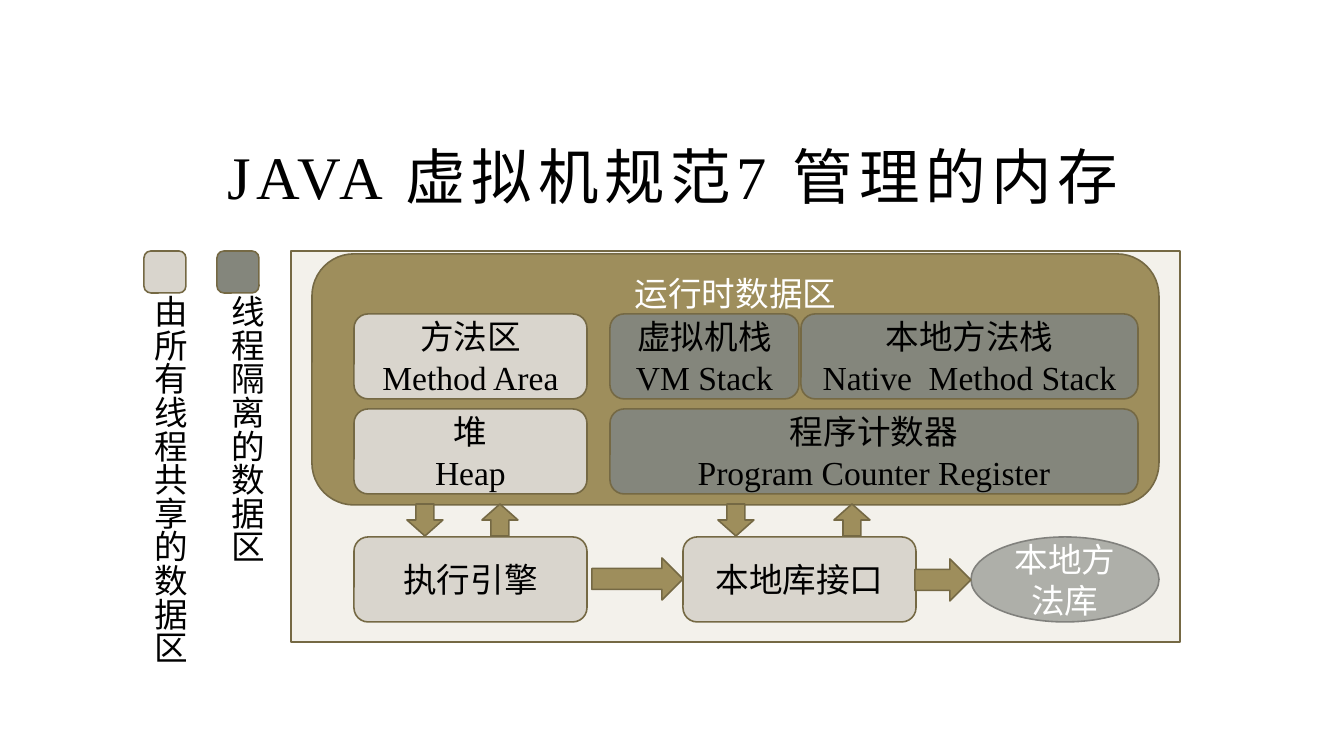
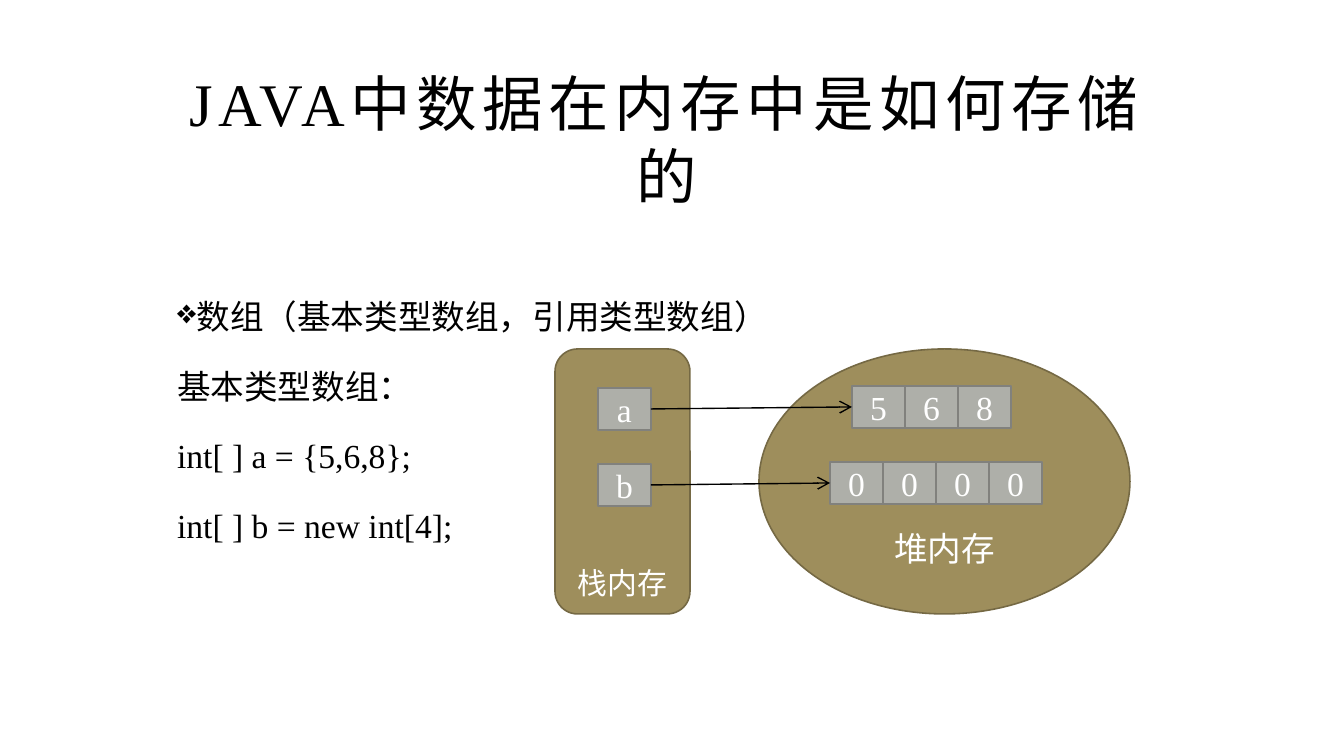
from lxml.etree import SubElement
from pptx import Presentation
from pptx.dml.color import RGBColor
from pptx.enum.shapes import MSO_CONNECTOR, MSO_SHAPE
from pptx.enum.text import MSO_ANCHOR, MSO_AUTO_SIZE, PP_ALIGN
from pptx.oxml.ns import qn
from pptx.util import Emu, Pt

EMU_PER_PX = 914400 / 134.4
SLIDE_SIZE = (1344, 756)
FONT = "Times New Roman"
TEXT_SIZE = 18

BLACK = RGBColor(0x00, 0x00, 0x00)
WHITE = RGBColor(0xFF, 0xFF, 0xFF)
GOLD = RGBColor(0x9E, 0x8E, 0x5C)
GOLD_LINE = RGBColor(0x75, 0x69, 0x44)
SHARED = RGBColor(0xD9, 0xD5, 0xCD)
ISOLATED = RGBColor(0x84, 0x86, 0x7C)
SILVER = RGBColor(0xAE, 0xAF, 0xA9)
SILVER_LINE = RGBColor(0x81, 0x81, 0x7D)

MACHINE_TITLE = ("JAVA 虚拟机规范7 管理的内存", 202, 941)
STORAGE_TITLE = ("JAVA中数据在内存中是如何存储的", 153, 1027)

FRAME = (291, 251, 889, 391)
RUNTIME = (312, 254, 847, 251)
RUNTIME_LABEL = ["运行时数据区"]
BOX_HEIGHT = 85
AREA_ROW, COUNTER_ROW, ENGINE_ROW = 314, 409, 537
BOXES = [
    (354, AREA_ROW, 233, SHARED, ["方法区", "Method Area"]),
    (354, COUNTER_ROW, 233, SHARED, ["堆", "Heap"]),
    (610, AREA_ROW, 189, ISOLATED, ["虚拟机栈", "VM Stack"]),
    (801, AREA_ROW, 337, ISOLATED, ["本地方法栈", "Native  Method Stack"]),
    (610, COUNTER_ROW, 528, ISOLATED, ["程序计数器", "Program Counter Register"]),
    (354, ENGINE_ROW, 233, SHARED, ["执行引擎"]),
    (683, ENGINE_ROW, 233, SHARED, ["本地库接口"]),
]
LIBRARY = (971, ENGINE_ROW, 188, BOX_HEIGHT)
LIBRARY_LABEL = ["本地方法库"]
ARROWS = [
    (MSO_SHAPE.DOWN_ARROW, 407, 504, 36, 32),
    (MSO_SHAPE.DOWN_ARROW, 718, 504, 36, 32),
    (MSO_SHAPE.UP_ARROW, 482, 504, 36, 32),
    (MSO_SHAPE.UP_ARROW, 834, 504, 36, 32),
    (MSO_SHAPE.RIGHT_ARROW, 592, 558, 91, 42),
    (MSO_SHAPE.RIGHT_ARROW, 915, 559, 56, 42),
]
LEGEND_TOP, LEGEND_SIZE, LEGEND_LABEL_TOP = 251, 42, 282
LEGEND = [
    (144, SHARED, "由所有线程共享的数据区", 130, 387),
    (217, ISOLATED, "线程隔离的数据区", 207, 285),
]

ARRAY_NOTES_BOX = (164, 269, 941, 336)
ARRAY_NOTES = [
    "数组（基本类型数组，引用类型数组）",
    "基本类型数组：",
    "int[ ] a = {5,6,8};",
    "int[ ] b = new int[4];",
]
STACK = (555, 349, 135, 265)
HEAP = (759, 349, 371, 265)
CELL_WIDTH, CELL_HEIGHT = 53, 42
VARIABLE_LEFT, VARIABLE_TOP, VARIABLE_PITCH = 598, 388, 76
HEAP_RISE = 2
ARRAYS = [("a", 852, "568"), ("b", 830, "0000")]


def px(value):
    return Emu(round(value * EMU_PER_PX))


def write(shape, lines, color, size=TEXT_SIZE, align=PP_ALIGN.CENTER,
          anchor=MSO_ANCHOR.MIDDLE, wrap=True):
    frame = shape.text_frame
    frame.word_wrap = wrap
    frame.vertical_anchor = anchor
    frame.text = "\n".join(lines)
    for paragraph in frame.paragraphs:
        paragraph.alignment = align
        paragraph.font.name = FONT
        paragraph.font.size = Pt(size)
        paragraph.font.color.rgb = color


def add_text(slide, box, lines, **style):
    shape = slide.shapes.add_textbox(*map(px, box))
    write(shape, lines, BLACK, **style)
    return shape


def add_block(slide, kind, box, fill, line=GOLD_LINE, lines=(), color=WHITE, **style):
    shape = slide.shapes.add_shape(kind, *map(px, box))
    shape.shadow.inherit = False
    shape.fill.solid()
    shape.fill.fore_color.rgb = fill
    shape.line.color.rgb = line
    shape.line.width = Pt(0.85)
    if lines:
        write(shape, lines, color, **style)
    return shape


def add_titled_slide(presentation, title):
    text, left, width = title
    slide = presentation.slides.add_slide(presentation.slide_layouts[6])
    shape = add_text(slide, (left, 142, width, 76), [text], size=32.4,
                     anchor=MSO_ANCHOR.BOTTOM)
    shape.element.xpath(".//a:defRPr")[0].set("spc", "300")
    return slide


def add_cell(slide, left, top, label):
    add_block(slide, MSO_SHAPE.RECTANGLE, (left, top, CELL_WIDTH, CELL_HEIGHT),
              SILVER, SILVER_LINE, [label])


def add_pointer(slide, *ends):
    connector = slide.shapes.add_connector(MSO_CONNECTOR.STRAIGHT, *map(px, ends))
    connector.line.color.rgb = BLACK
    connector.line.width = Pt(0.75)
    properties = connector.element.spPr
    SubElement(properties.find(qn("a:ln")), qn("a:tailEnd"), type="arrow")
    SubElement(properties, qn("a:effectLst"))


def build_machine_slide(presentation):
    slide = add_titled_slide(presentation, MACHINE_TITLE)
    frame = add_block(slide, MSO_SHAPE.RECTANGLE, FRAME, GOLD)
    frame_color = frame.element.spPr.find(qn("a:solidFill"))[0]
    SubElement(frame_color, qn("a:alpha"), val="12000")
    add_block(slide, MSO_SHAPE.ROUNDED_RECTANGLE, RUNTIME, GOLD,
              lines=RUNTIME_LABEL, anchor=MSO_ANCHOR.TOP)
    for left, top, width, fill, lines in BOXES:
        add_block(slide, MSO_SHAPE.ROUNDED_RECTANGLE, (left, top, width, BOX_HEIGHT),
                  fill, lines=lines, color=BLACK)
    add_block(slide, MSO_SHAPE.OVAL, LIBRARY, SILVER, SILVER_LINE, LIBRARY_LABEL)
    for kind, *box in ARROWS:
        add_block(slide, kind, box, GOLD)
    for left, fill, label, label_left, label_height in LEGEND:
        add_block(slide, MSO_SHAPE.ROUNDED_RECTANGLE,
                  (left, LEGEND_TOP, LEGEND_SIZE, LEGEND_SIZE), fill)
        text = add_text(slide, (label_left, LEGEND_LABEL_TOP, 67, label_height), [label],
                        align=PP_ALIGN.LEFT, anchor=MSO_ANCHOR.TOP, wrap=False)
        text.text_frame.auto_size = MSO_AUTO_SIZE.SHAPE_TO_FIT_TEXT
        text.element.xpath(".//a:bodyPr")[0].set("vert", "eaVert")


def build_storage_slide(presentation):
    slide = add_titled_slide(presentation, STORAGE_TITLE)
    notes = add_text(slide, ARRAY_NOTES_BOX, ARRAY_NOTES,
                     align=PP_ALIGN.LEFT, anchor=MSO_ANCHOR.TOP)
    for paragraph in notes.text_frame.paragraphs:
        paragraph.line_spacing = 1.5
        paragraph.space_before = Pt(5)
    heading = notes.element.xpath(".//a:pPr")[0]
    heading.set("marL", "0")
    heading.set("indent", str(-px(40)))
    bullet = SubElement(heading, qn("a:buChar"), char="❖")
    heading.find(qn("a:defRPr")).addprevious(bullet)

    add_block(slide, MSO_SHAPE.ROUNDED_RECTANGLE, STACK, GOLD,
              lines=["栈内存"], size=16, anchor=MSO_ANCHOR.BOTTOM)
    add_block(slide, MSO_SHAPE.OVAL, HEAP, GOLD,
              lines=["堆内存"], anchor=MSO_ANCHOR.BOTTOM)
    for row, (variable, array_left, values) in enumerate(ARRAYS):
        top = VARIABLE_TOP + row * VARIABLE_PITCH
        middle = top + CELL_HEIGHT // 2
        add_cell(slide, VARIABLE_LEFT, top, variable)
        for column, value in enumerate(values):
            add_cell(slide, array_left + column * CELL_WIDTH, top - HEAP_RISE, value)
        add_pointer(slide, VARIABLE_LEFT + CELL_WIDTH, middle,
                    array_left, middle - HEAP_RISE)


def main():
    presentation = Presentation()
    presentation.slide_width, presentation.slide_height = map(px, SLIDE_SIZE)
    build_machine_slide(presentation)
    build_storage_slide(presentation)
    presentation.save("out.pptx")


if __name__ == "__main__":
    main()
